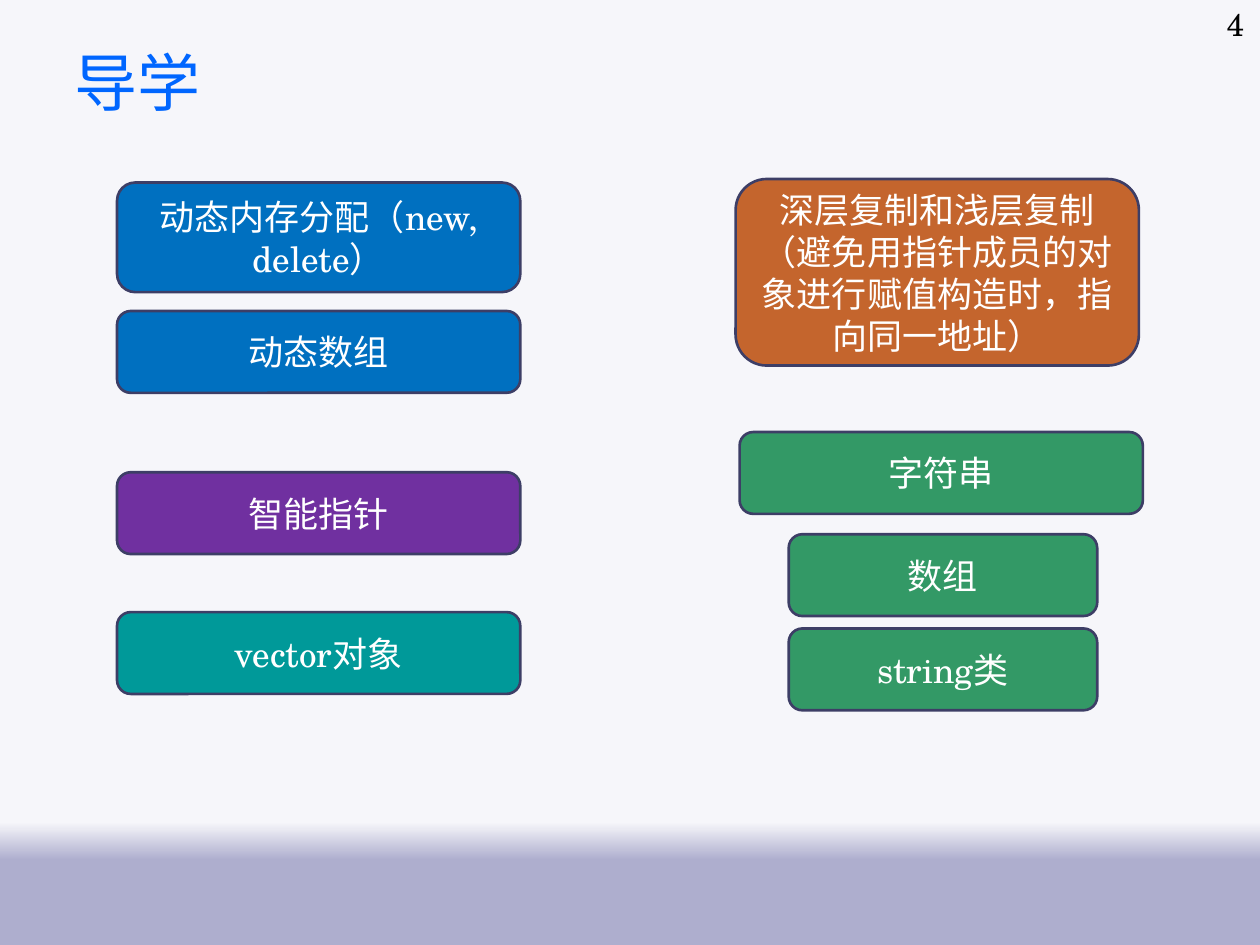
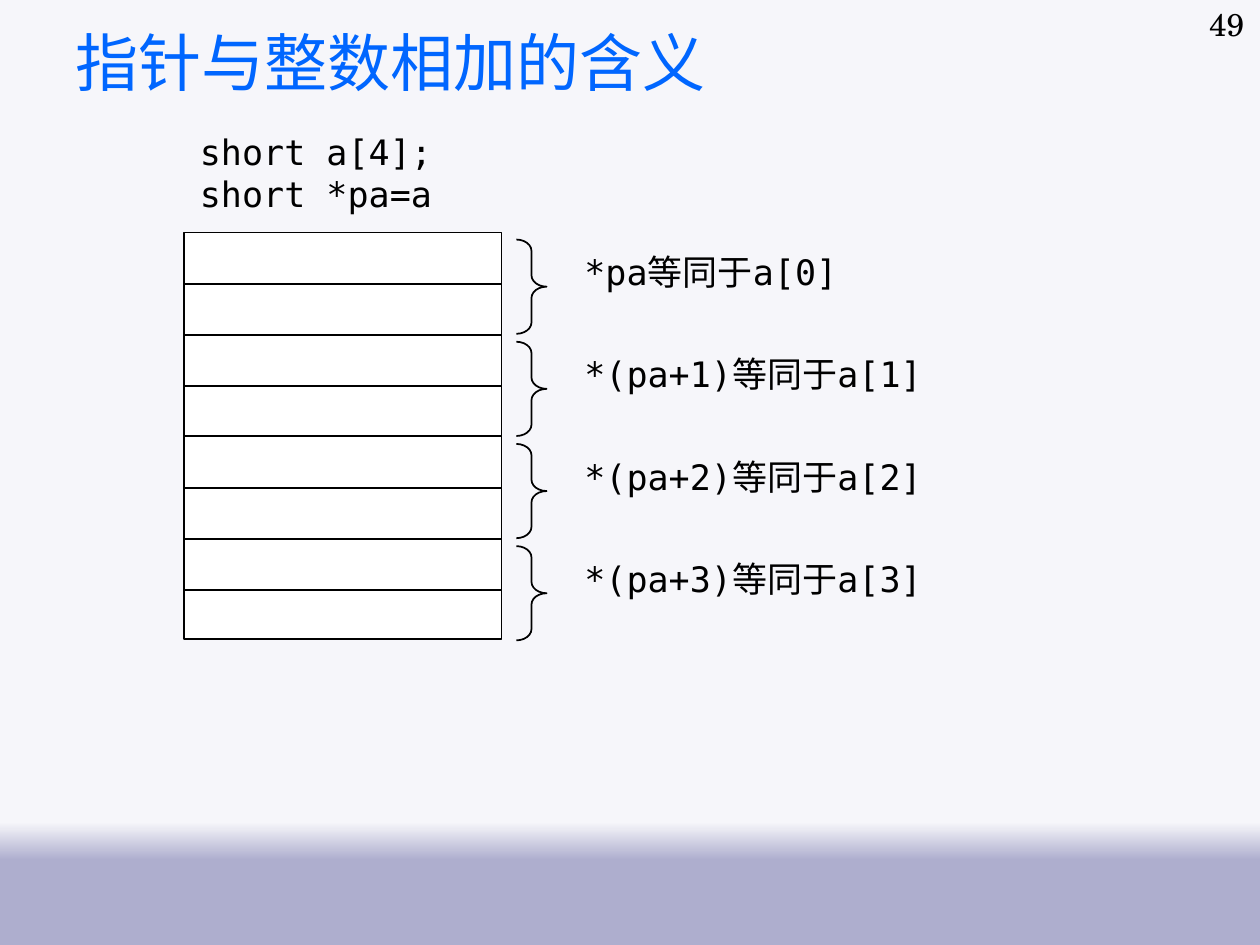
from lxml.etree import SubElement
from pptx import Presentation
from pptx.dml.color import RGBColor
from pptx.enum.shapes import MSO_CONNECTOR, MSO_SHAPE
from pptx.enum.text import MSO_ANCHOR, PP_ALIGN
from pptx.oxml.ns import qn
from pptx.util import Cm, Pt

TITLE_BLUE = RGBColor(0x00, 0x66, 0xFF)
BLACK = RGBColor(0x00, 0x00, 0x00)
WHITE = RGBColor(0xFF, 0xFF, 0xFF)
OUTLINE = RGBColor(0x3D, 0x3E, 0x66)
BLUE = RGBColor(0x00, 0x70, 0xC0)
PURPLE = RGBColor(0x70, 0x30, 0xA0)
TEAL = RGBColor(0x00, 0x99, 0x99)
ORANGE = RGBColor(0xC4, 0x65, 0x2D)
GREEN = RGBColor(0x33, 0x99, 0x66)
BACKGROUND = [(87, "F6F6FA"), (91, "AEAECE"), (100, "AEAECE"), (100, "C9C9DE")]

CJK = "Noto Sans CJK SC"
SERIF = "TeX Gyre Schola"
MONO = "DejaVu Sans Mono"


def write(sp, text, font, size, color, align=PP_ALIGN.LEFT, anchor=MSO_ANCHOR.MIDDLE):
    """Fill a shape with text, one paragraph a line, with a CJK fallback font."""
    tf = sp.text_frame
    tf.text = text
    tf.word_wrap = True
    tf.vertical_anchor = anchor
    for p in tf.paragraphs:
        p.alignment = align
        for r in p.runs:
            r.font.size = Pt(size)
            r.font.name = font
            r.font.color.rgb = color
            SubElement(r._r.get_or_add_rPr(), qn("a:ea"), typeface=CJK)


def add_slide(title, left, top, number):
    """Add a slide with its title and its page number."""
    s = prs.slides.add_slide(prs.slide_layouts[5])
    sp = s.shapes.title
    sp.left, sp.top, sp.width, sp.height = Cm(left), Cm(top), Cm(22.86), Cm(2.21)
    write(sp, title, CJK, 36, TITLE_BLUE)
    sp = s.shapes.add_textbox(Cm(19.61), Cm(-0.03), Cm(5.72), Cm(1.02))
    write(sp, number, SERIF, 18, BLACK, PP_ALIGN.RIGHT)
    return s


prs = Presentation()
prs.slide_width, prs.slide_height = Cm(25.4), Cm(19.05)

# Shared background
fill = prs.slide_master.background.fill
fill.gradient()
fill.gradient_angle = 270
stops = next(prs.slide_master.background._cSld.iter(qn("a:gsLst")))
for stop in list(stops):
    stops.remove(stop)
for percent, color in BACKGROUND:
    stop = SubElement(stops, qn("a:gs"), pos=str(percent * 1000))
    SubElement(stop, qn("a:srgbClr"), val=color)

# Slide 1: topic overview
s = add_slide("导学", 1.25, 0.53, "4")
topics = [
    ("动态内存分配（new, delete）", 2.36, 3.68, 8.13, 2.21, BLUE),
    ("动态数组", 2.36, 6.27, 8.13, 1.65, BLUE),
    ("智能指针", 2.36, 9.52, 8.13, 1.65, PURPLE),
    ("vector对象", 2.36, 12.34, 8.13, 1.65, TEAL),
    ("深层复制和浅层复制（避免用指针成员的对象进行赋值构造时，指向同一地址）",
     14.83, 3.61, 8.13, 3.76, ORANGE),
    ("字符串", 14.91, 8.71, 8.13, 1.65, GREEN),
    ("数组", 15.9, 10.77, 6.22, 1.65, GREEN),
    ("string类", 15.9, 12.67, 6.22, 1.65, GREEN),
]
for text, left, top, width, height, color in topics:
    sp = s.shapes.add_shape(MSO_SHAPE.ROUNDED_RECTANGLE,
                            Cm(left), Cm(top), Cm(width), Cm(height))
    sp.shadow.inherit = False
    sp.fill.solid()
    sp.fill.fore_color.rgb = color
    sp.line.color.rgb = OUTLINE
    sp.line.width = Pt(1.5)
    write(sp, text, SERIF, 20, WHITE, PP_ALIGN.CENTER)

# Slide 2: array memory, two bytes for each element
s = add_slide("指针与整数相加的含义", 1.27, 0.13, "49")
sp = s.shapes.add_textbox(Cm(3.78), Cm(2.51), Cm(8.2), Cm(1.96))
write(sp, "short a[4];\nshort *pa=a", MONO, 20, BLACK, anchor=MSO_ANCHOR.TOP)

LEFT, TOP, WIDTH, ROW = 3.71, 4.69, 6.4, 1.03
memory = s.shapes.add_shape(MSO_SHAPE.RECTANGLE, Cm(LEFT), Cm(TOP), Cm(WIDTH), Cm(8.2))
memory.shadow.inherit = False
memory.fill.solid()
memory.fill.fore_color.rgb = WHITE
memory.line.color.rgb = BLACK
memory.line.width = Pt(1)

for row in range(1, 8):
    y = Cm(TOP + row * ROW)
    divider = s.shapes.add_connector(MSO_CONNECTOR.STRAIGHT, Cm(LEFT), y, Cm(LEFT + WIDTH), y)
    divider.line.color.rgb = BLACK
    divider.line.width = Pt(1)
    SubElement(divider._element.spPr, qn("a:effectLst"))
    if row == 4:
        divider.begin_connect(memory, 1)
        divider.end_connect(memory, 3)

for i, pointer in enumerate(["*pa", "*(pa+1)", "*(pa+2)", "*(pa+3)"]):
    offset = i * 2 * ROW
    brace = s.shapes.add_shape(MSO_SHAPE.RIGHT_BRACE,
                               Cm(10.41), Cm(4.83 + offset), Cm(0.61), Cm(1.9))
    brace.adjustments[0] = 0.375
    brace.shadow.inherit = False
    brace.fill.background()
    brace.line.color.rgb = BLACK
    brace.line.width = Pt(1)
    sp = s.shapes.add_textbox(Cm(11.53), Cm(4.93 + offset), Cm(9.96), Cm(1.12))
    write(sp, f"{pointer}等同于a[{i}]", MONO, 20, BLACK, anchor=MSO_ANCHOR.TOP)

prs.save("out.pptx")
